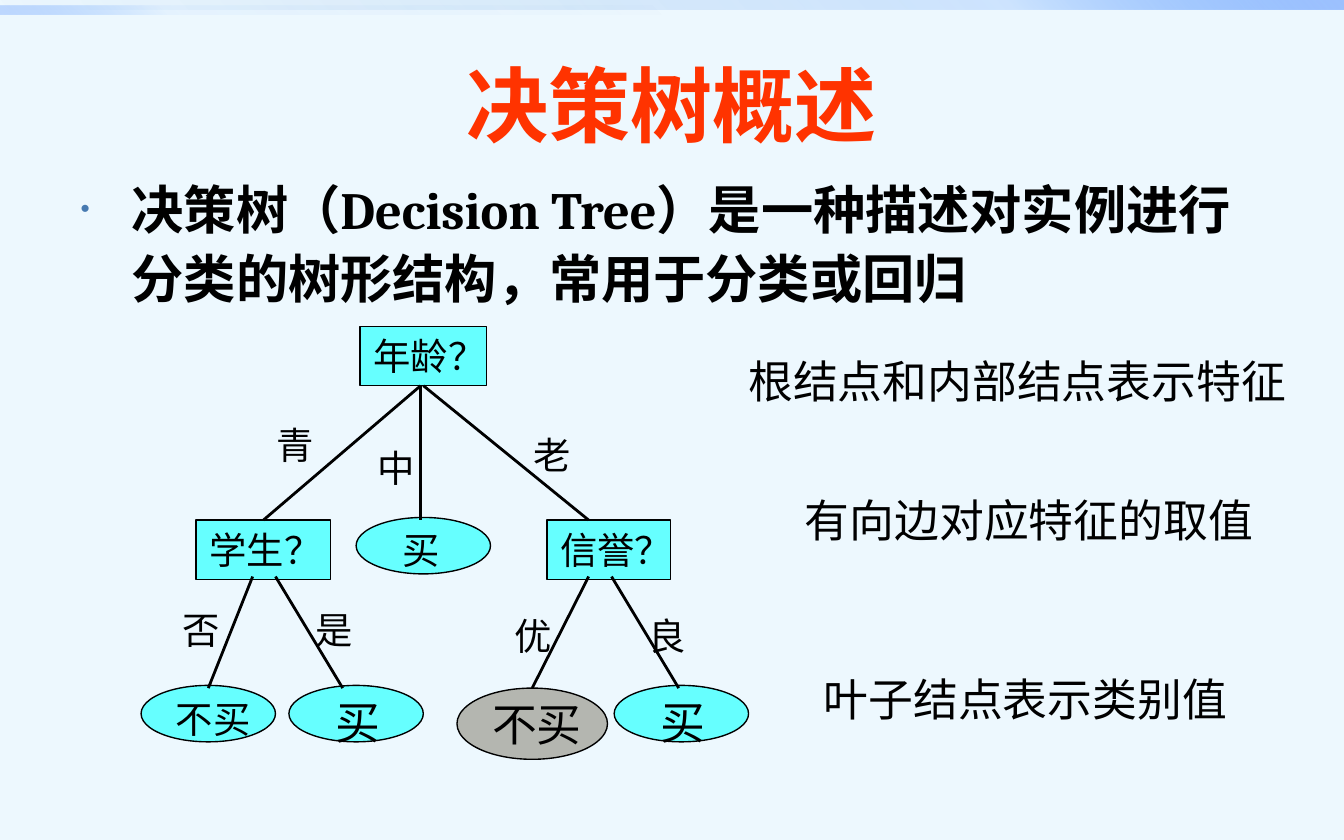
from dataclasses import dataclass
from typing import NamedTuple, Optional

from lxml import etree
from pptx import Presentation
from pptx.dml.color import RGBColor
from pptx.enum.shapes import MSO_CONNECTOR, MSO_SHAPE
from pptx.enum.text import MSO_ANCHOR, MSO_AUTO_SIZE, PP_ALIGN
from pptx.oxml import parse_xml
from pptx.oxml.ns import nsdecls, qn
from pptx.util import Inches, Pt

RECTANGLE, ELLIPSE = MSO_SHAPE.RECTANGLE, MSO_SHAPE.OVAL
STRAIGHT = MSO_CONNECTOR.STRAIGHT
TOP, MIDDLE = MSO_ANCHOR.TOP, MSO_ANCHOR.MIDDLE
LEFT, CENTER = PP_ALIGN.LEFT, PP_ALIGN.CENTER
FIXED, GROW = MSO_AUTO_SIZE.NONE, MSO_AUTO_SIZE.SHAPE_TO_FIT_TEXT


@dataclass(frozen=True)
class Theme:
    background: str = "EDF8FE"
    heading: str = "FF3300"
    ink: str = "000000"
    bullet: str = "477AB1"
    node: str = "66FFFF"
    highlighted_leaf: str = "B4B6B0"
    band: tuple = ("0058B7", "4F95FF", "9EC2FF")
    heading_font: str = "Lato"
    body_font: str = "Cambria"
    diagram_font: str = "Arial"
    heading_size: int = 44
    body_size: int = 28
    note_size: int = 24
    tree_size: int = 20
    outline: float = 0.75
    branch: float = 1.5


THEME = Theme()


class Box(NamedTuple):
    left: float
    top: float
    width: float
    height: float

    def lengths(self) -> list:
        return [Inches(value) for value in self]


class Label(NamedTuple):
    text: str
    box: Box
    size: int = THEME.tree_size
    wrap: bool = True


class Leaf(NamedTuple):
    box: Box
    label: Optional[Label] = None


class Branch(NamedTuple):
    start: tuple
    end: tuple


class Band(NamedTuple):
    box: Box
    alphas: tuple
    angle: int


BANDS = [
    Band(Box(0, 0, 10, 0.07), (0, 20, 100), 315),
    Band(Box(0, 0.04, 5, 0.07), (0, 5, 60), 135),
]
QUESTIONS = [
    Label("年龄？", Box(2.68, 2.43, 0.94, 0.44)),
    Label("学生？", Box(1.46, 3.87, 1, 0.44)),
    Label("信誉？", Box(4.07, 3.87, 0.92, 0.44)),
]
LEAVES = [
    Leaf(Box(2.65, 3.85, 1, 0.42), Label("买", Box(2.9, 3.87, 0.67, 0.44))),
    Leaf(Box(1.05, 5.1, 1, 0.42), Label("不买", Box(1.21, 5.13, 0.83, 0.44))),
    Leaf(Box(4.57, 5.1, 1, 0.42), Label("买", Box(4.82, 5.12, 0.67, 0.51), THEME.note_size)),
    Leaf(Box(2.15, 5.1, 1, 0.42), Label("买", Box(2.4, 5.12, 0.67, 0.51), THEME.note_size)),
]
HIGHLIGHTED_LEAF = Label("不买", Box(3.4, 5.12, 1.12, 0.53), THEME.note_size, False)
BRANCHES = [
    Branch((3.13, 2.87), (1.96, 3.87)),
    Branch((3.13, 2.87), (3.13, 3.87)),
    Branch((3.15, 2.87), (4.38, 3.87)),
    Branch((1.88, 4.29), (1.55, 5.12)),
    Branch((2.05, 4.29), (2.55, 5.12)),
    Branch((4.38, 4.29), (3.96, 5.12)),
    Branch((4.55, 4.29), (5.05, 5.12)),
]
BRANCH_VALUES = [
    Label(text, Box(left, top, 0.48, 0.44), wrap=False)
    for text, left, top in [
        ("青", 1.96, 3.09), ("中", 2.71, 3.26), ("老", 3.87, 3.17),
        ("否", 1.26, 4.47), ("是", 2.25, 4.47),
        ("优", 3.73, 4.51), ("良", 4.73, 4.51),
    ]
]
NOTES = [
    Label(text, Box(left, top, width, 0.51), THEME.note_size)
    for text, left, top, width in [
        ("根结点和内部结点表示特征", 5.47, 2.58, 4.24),
        ("有向边对应特征的取值", 5.89, 3.62, 3.81),
        ("叶子结点表示类别值", 6.03, 4.95, 3.52),
    ]
]


def rgb(color: str) -> RGBColor:
    return RGBColor.from_string(color)


def style_font(paragraph, name: str, size: int, color: str, bold: bool = False) -> None:
    font = paragraph.font
    font.name, font.size, font.bold = name, Pt(size), bold
    font.color.rgb = rgb(color)


def write_label(shape, label: Label, anchor=TOP, auto_size=GROW) -> None:
    frame = shape.text_frame
    frame.text = label.text
    frame.word_wrap, frame.vertical_anchor, frame.auto_size = label.wrap, anchor, auto_size
    paragraph = frame.paragraphs[0]
    paragraph.alignment = LEFT
    style_font(paragraph, THEME.diagram_font, label.size, THEME.ink)


def add_text(slide, label: Label) -> None:
    write_label(slide.shapes.add_textbox(*label.box.lengths()), label)


def add_node(slide, kind, box: Box, fill: str = THEME.node):
    node = slide.shapes.add_shape(kind, *box.lengths())
    node.shadow.inherit = False
    node.fill.solid()
    node.fill.fore_color.rgb = rgb(fill)
    node.line.color.rgb = rgb(THEME.ink)
    node.line.width = Pt(THEME.outline)
    return node


def add_branch(slide, branch: Branch) -> None:
    ends = [Inches(value) for value in (*branch.start, *branch.end)]
    line = slide.shapes.add_connector(STRAIGHT, *ends)
    line.line.color.rgb = rgb(THEME.ink)
    line.line.width = Pt(THEME.branch)
    etree.SubElement(line._element.spPr, qn("a:effectLst"))


def add_band(slide, band: Band) -> None:
    """Draw a strip whose gradient also fades in opacity."""
    strip = slide.shapes.add_shape(RECTANGLE, *band.box.lengths())
    strip.shadow.inherit = False
    strip.line.fill.background()
    stops = "".join(
        f'<a:gs pos="{position * 1000}"><a:srgbClr val="{color}">'
        f'<a:alpha val="{alpha * 1000}"/></a:srgbClr></a:gs>'
        for position, color, alpha in zip((0, 75, 100), THEME.band, band.alphas)
    )
    gradient = parse_xml(
        f'<a:gradFill {nsdecls("a")} rotWithShape="1"><a:gsLst>{stops}</a:gsLst>'
        f'<a:lin ang="{band.angle * 60000}" scaled="0"/></a:gradFill>'
    )
    strip._element.spPr.find(qn("a:prstGeom")).addnext(gradient)


def fill_placeholder(placeholder, text: str, box: Box, anchor):
    placeholder.left, placeholder.top, placeholder.width, placeholder.height = box.lengths()
    frame = placeholder.text_frame
    frame.text = text
    frame.word_wrap, frame.vertical_anchor, frame.auto_size = True, anchor, FIXED
    return frame.paragraphs[0]


def add_bullet(paragraph) -> None:
    properties = paragraph._p.get_or_add_pPr()
    indent = Inches(0.38)
    properties.set("marL", str(indent))
    properties.set("indent", str(-indent))
    for markup in (
        f'<a:buClr {nsdecls("a")}><a:srgbClr val="{THEME.bullet}"/></a:buClr>',
        f'<a:buSzPct {nsdecls("a")} val="50000"/>',
        f'<a:buChar {nsdecls("a")} char="•"/>',
    ):
        properties.append(parse_xml(markup))


def add_heading_and_definition(slide) -> None:
    heading = fill_placeholder(slide.shapes.title, "决策树概述", Box(0.5, 0.25, 9, 1.04), MIDDLE)
    heading.alignment = CENTER
    style_font(heading, THEME.heading_font, THEME.heading_size, THEME.heading, True)

    definition = fill_placeholder(
        slide.placeholders[1],
        "决策树（Decision Tree）是一种描述对实例进行分类的树形结构，常用于分类或回归",
        Box(0.5, 1.22, 9, 4.36), TOP,
    )
    definition.line_spacing = 1.1
    definition.space_before = Pt(5.6)
    add_bullet(definition)
    style_font(definition, THEME.body_font, THEME.body_size, THEME.ink, True)


def add_tree(slide) -> None:
    for question in QUESTIONS:
        write_label(add_node(slide, RECTANGLE, question.box), question)
    for leaf in LEAVES:
        add_node(slide, ELLIPSE, leaf.box)
        add_text(slide, leaf.label)
    gray_leaf = add_node(slide, ELLIPSE, HIGHLIGHTED_LEAF.box, THEME.highlighted_leaf)
    write_label(gray_leaf, HIGHLIGHTED_LEAF, MIDDLE, FIXED)
    for branch in BRANCHES:
        add_branch(slide, branch)
    for value in BRANCH_VALUES:
        add_text(slide, value)


def main() -> None:
    deck = Presentation()
    deck.slide_width, deck.slide_height = Inches(10), Inches(6.25)
    slide = deck.slides.add_slide(deck.slide_layouts[1])
    slide.background.fill.solid()
    slide.background.fill.fore_color.rgb = rgb(THEME.background)
    for band in BANDS:
        add_band(slide, band)
    add_heading_and_definition(slide)
    add_tree(slide)
    for note in NOTES:
        add_text(slide, note)
    deck.save("out.pptx")


if __name__ == "__main__":
    main()
